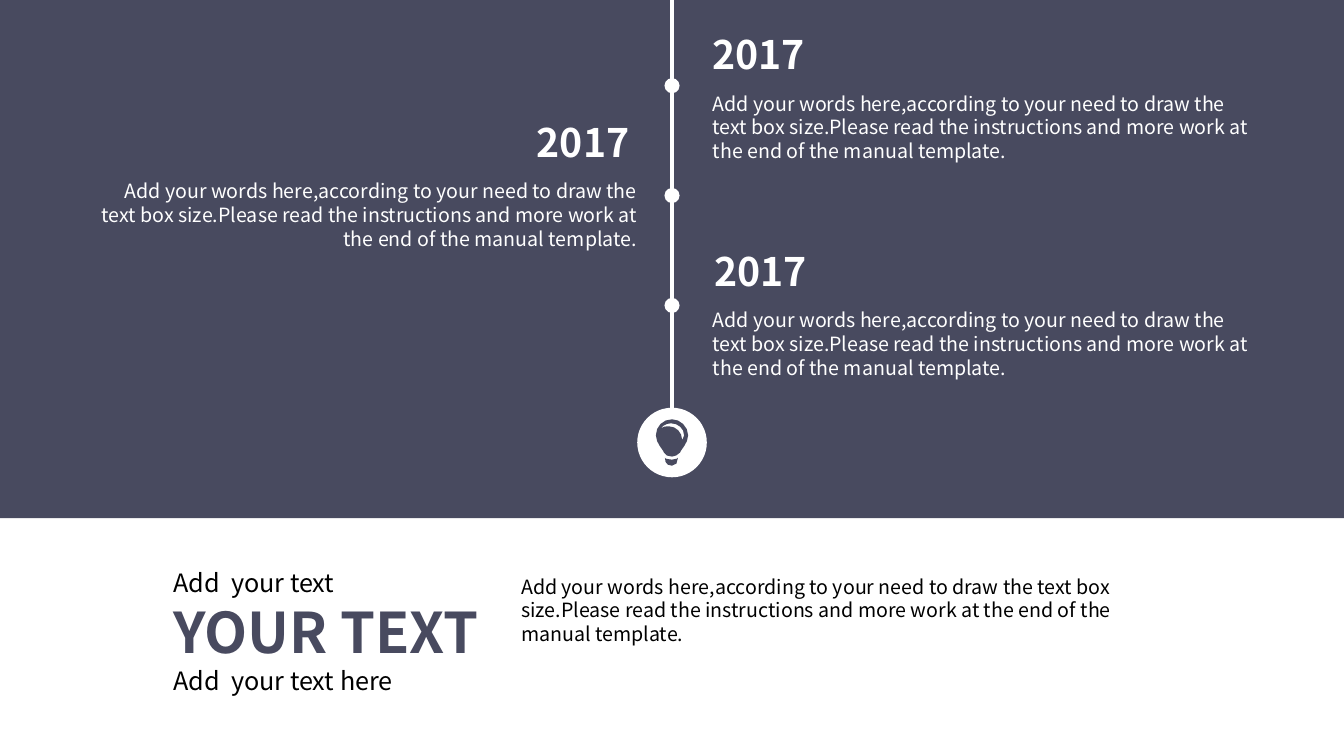
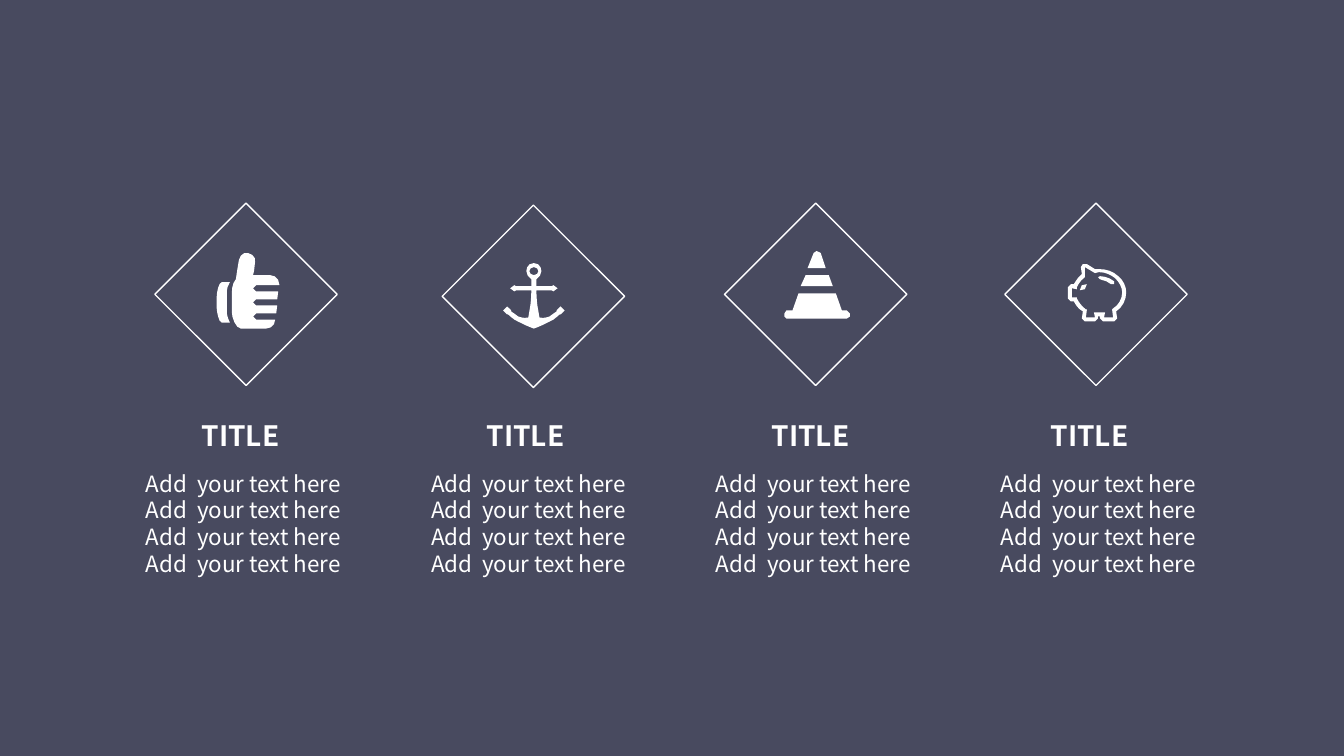
from dataclasses import dataclass
from math import dist

from lxml import etree
from pptx import Presentation
from pptx.dml.color import RGBColor
from pptx.enum.shapes import MSO_CONNECTOR, MSO_SHAPE
from pptx.enum.text import MSO_AUTO_SIZE, PP_ALIGN
from pptx.oxml.ns import qn
from pptx.util import Inches, Pt

RECT, OVAL = MSO_SHAPE.RECTANGLE, MSO_SHAPE.OVAL
LEFT, RIGHT = PP_ALIGN.LEFT, PP_ALIGN.RIGHT
STRAIGHT = MSO_CONNECTOR.STRAIGHT
GROW = MSO_AUTO_SIZE.SHAPE_TO_FIT_TEXT


@dataclass(frozen=True)
class Theme:
    font: str = "Noto Sans CJK SC"
    slate: RGBColor = RGBColor(0x48, 0x4A, 0x5F)
    white: RGBColor = RGBColor(0xFF, 0xFF, 0xFF)
    black: RGBColor = RGBColor(0, 0, 0)
    body: int = 14
    item: int = 16
    lead: int = 18
    title: int = 20
    year: int = 28
    hero: int = 40


T = Theme()
W, H = 13.33, 7.5
BAND = 5.14
AXIS = W / 2
INSET = 0.1
COL_X, COL_PITCH = 1.35, (9.83 - 1.35) / 3

BODY = ("Add your words here,according to your need to draw the text box size."
        "Please read the instructions and more work at the end of the manual template.")
ITEM = "Add  your text here"

# Icons are lists of parts, parts are lists of outlines in hundredths of an inch:
# pairs are corners, sixes are cubic curves
BULB = [
    [[(9, 38), (10, 39), (12, 39, 13, 40, 16, 40), (18, 40, 20, 39, 21, 39), (22, 38),
      (22, 43, 20, 46, 16, 46), (11, 46, 9, 43, 9, 38)]],
    [[(16, 0), (24, 0, 32, 7, 32, 16), (32, 24, 24, 31, 24, 33),
      (24, 34, 23, 35, 20, 36), (19, 36, 18, 37, 16, 37), (15, 37, 13, 37, 11, 36),
      (9, 35, 8, 34, 8, 33), (8, 31, 0, 24, 0, 16), (0, 7, 7, 0, 16, 0)],
     [(13, 7), (20, 7, 26, 13, 26, 20), (26, 21), (27, 20, 28, 18, 28, 16),
      (28, 9, 22, 4, 15, 4), (11, 4, 7, 6, 5, 9), (7, 7, 10, 7, 13, 7)]],
]
THUMB = [
    [[(10, 39), (10, 37, 11, 33, 13, 30), (5, 30), (2, 30, 0, 40, 0, 44), (0, 56),
      (0, 59, 2, 70, 5, 70), (13, 70), (11, 66, 10, 62, 10, 60)]],
    [[(19, 27), (16, 30, 15, 36, 15, 40), (15, 60), (15, 65, 19, 76, 24, 76), (49, 76),
      (54, 76, 58, 72, 58, 67), (39, 67), (37, 67, 36, 65, 36, 64),
      (36, 62, 37, 61, 39, 61), (59, 61), (60, 53), (39, 53), (37, 53, 36, 51, 36, 50),
      (36, 48, 37, 47, 39, 47), (60, 47), (61, 39), (39, 39), (37, 39, 36, 37, 36, 36),
      (36, 34, 37, 33, 39, 33), (62, 33), (62, 32), (62, 27, 58, 23, 53, 23), (36, 23),
      (37, 19), (38, 10), (39, 6, 36, 2, 31, 1), (27, 0, 23, 3, 22, 8), (20, 20)]],
]
# Right half only, measured from the shank
ANCHOR_HALF = [
    [(0, 0), (5, 0, 7.5, 4, 7.5, 8), (7.5, 11, 5.5, 14, 2.5, 16), (2.5, 23), (17.5, 23),
     (18, 22, 19, 22, 19.5, 22), (21.5, 22, 23.5, 23, 23.5, 25),
     (23.5, 26, 21.5, 28, 19.5, 28), (18.5, 28, 17.5, 27, 17.5, 27), (2.5, 27),
     (2.5, 35, 3.5, 42, 3.5, 42), (5.5, 54), (9.5, 55, 12.5, 54, 15.5, 53),
     (18.5, 51, 20.5, 49, 22.5, 48), (22.5, 47), (22.5, 45, 24.5, 43, 26.5, 43),
     (28.5, 43, 30.5, 45, 30.5, 47), (30.5, 50, 28.5, 51, 26.5, 51), (25.5, 51),
     (24, 53, 21.5, 54, 19.5, 56), (16, 58, 11.5, 60, 7.5, 62), (6.5, 62, 1.5, 65, 0, 65)],
    [(0, 4), (2.5, 4, 4.5, 6, 4.5, 8), (4.5, 10, 2.5, 12, 0, 12)],
]
CONE = [
    [[(8, 59), (2, 59), (1, 59, 0, 60, 0, 62), (0, 65), (0, 66, 1, 67, 2, 67), (62, 67),
      (64, 67, 65, 66, 65, 65), (65, 62), (65, 60, 64, 59, 62, 59), (57, 59), (51, 42),
      (14, 42)]],
    [[(36, 2), (36, 2, 35, 0, 32, 0), (29, 0, 29, 2, 29, 2), (23, 17), (41, 17)]],
    [[(21, 24), (16, 35), (48, 35), (44, 24)]],
]
PIG = [
    [[(58, 29), (58, 23, 55, 17, 50, 13), (45, 8, 38, 6, 31, 6), (27, 6), (19, 1),
      (18, 0, 16, 0, 15, 1), (14, 1, 13, 3, 13, 4), (14, 11), (10, 14, 8, 18, 6, 21),
      (3, 21), (1, 21, 0, 22, 0, 24), (0, 35), (0, 37, 1, 38, 3, 38), (6, 38),
      (8, 42, 11, 46, 15, 48), (14, 55), (14, 57, 15, 58, 17, 58), (27, 58),
      (29, 58, 30, 57, 30, 55), (30, 53), (32, 53), (32, 55), (32, 57, 33, 58, 35, 58),
      (46, 58), (48, 58, 49, 57, 49, 55), (48, 48), (54, 44, 58, 37, 58, 29)],
     [(45, 45), (44, 46), (45, 54), (36, 54), (37, 49), (26, 49), (27, 54), (18, 54),
      (19, 46), (18, 46), (14, 43, 11, 39, 9, 35), (9, 34), (4, 34), (4, 25), (9, 26),
      (9, 24), (11, 20, 13, 17, 17, 14), (17, 4), (27, 10), (29, 10, 30, 9, 31, 9),
      (38, 9, 43, 12, 47, 15), (51, 19, 54, 24, 54, 29), (54, 36, 50, 42, 45, 45)]],
    [[(32, 13), (31, 13, 30, 13, 30, 14), (30, 16, 31, 16, 32, 16),
      (33, 17, 39, 17, 43, 21), (44, 21, 45, 21, 46, 21), (46, 20, 46, 19, 46, 18),
      (40, 13, 32, 13, 32, 13)]],
    [[(14, 22), (12, 24, 11, 26, 12, 27), (14, 28, 16, 28, 17, 26),
      (19, 24, 20, 22, 19, 21), (17, 20, 15, 20, 14, 22)]],
]


# Outlines
def trace(steps):
    """Turn corners and cubic curves into points, more on longer curves."""
    pts = []
    for step in steps:
        if len(step) == 2:
            pts.append(step)
            continue
        x0, y0 = pts[-1]
        x1, y1, x2, y2, x3, y3 = step
        n = max(1, min(4, round(dist((x0, y0), (x3, y3)) / 4)))
        for i in range(1, n + 1):
            t = i / n
            u = 1 - t
            a, b, c, d = u ** 3, 3 * u * u * t, 3 * u * t * t, t ** 3
            pts.append((a * x0 + b * x1 + c * x2 + d * x3,
                        a * y0 + b * y1 + c * y2 + d * y3))
    return pts


def trace_parts(icon):
    return [[trace(c) for c in part] for part in icon]


def mirrored(pts, axis):
    """Complete a right half with its reflection."""
    return ([(axis + x, y) for x, y in pts]
            + [(axis - x, y) for x, y in reversed(pts[1:-1])])


# Elements
def paint(shape, fill=None, line=None, width=1):
    shape.shadow.inherit = False
    if fill is None:
        shape.fill.background()
    else:
        shape.fill.solid()
        shape.fill.fore_color.rgb = fill
    if line is None:
        shape.line.fill.background()
    else:
        shape.line.color.rgb = line
        shape.line.width = Pt(width)


def add_box(s, kind, x, y, w, h, turn=0, **look):
    sp = s.shapes.add_shape(kind, Inches(x), Inches(y), Inches(w), Inches(h))
    sp.rotation = turn
    paint(sp, **look)


def add_disc(s, cx, cy, size, color):
    add_box(s, OVAL, cx - size / 2, cy - size / 2, size, size, fill=color)


def add_line(s, x1, y1, x2, y2, color, width):
    ln = s.shapes.add_connector(STRAIGHT, Inches(x1), Inches(y1), Inches(x2), Inches(y2))
    ln.line.color.rgb = color
    ln.line.width = Pt(width)
    etree.SubElement(ln.element.spPr, qn("a:effectLst"))


def add_icon(s, parts, x, y, color):
    for part in parts:
        first, *holes = [[(px * 100, py * 100) for px, py in c] for c in part]
        fb = s.shapes.build_freeform(*first[0], scale=91.44)
        fb.add_line_segments(first[1:], close=True)
        for hole in holes:
            fb.move_to(*hole[0])
            fb.add_line_segments(hole[1:], close=True)
        paint(fb.convert_to_shape(Inches(x), Inches(y)), fill=color)


def write(p, text, size=T.body, color=T.white, bold=False, align=LEFT):
    p.alignment = align
    r = p.add_run()
    r.text = text
    r.font.name = T.font
    r.font.size = Pt(size)
    r.font.bold = bold
    r.font.color.rgb = color


def add_text(s, x, y, w, h, *lines, inset=INSET, **shared):
    """Each line is a text, or a text with its own format."""
    tf = s.shapes.add_textbox(Inches(x), Inches(y), Inches(w), Inches(h)).text_frame
    tf.word_wrap = True
    tf.auto_size = GROW
    tf.margin_left = Inches(inset)
    for i, line in enumerate(lines):
        text, own = (line, {}) if isinstance(line, str) else line
        write(tf.add_paragraph() if i else tf.paragraphs[0], text, **{**shared, **own})


def add_event(s, x, y, year_x, align=LEFT):
    add_text(s, x, y + 0.61, 5.55, 0.81, BODY, align=align)
    add_text(s, year_x, y, 1.36, 0.57, "2017", size=T.year, bold=True, align=align)


# Slides
def timeline_slide(s):
    add_box(s, RECT, 0, 0, W, BAND, fill=T.slate)
    add_line(s, AXIS, 0, AXIS, 4.17, T.white, 3)
    for i in range(3):
        add_disc(s, AXIS, 0.85 + 1.09 * i, 0.15, T.white)
    add_disc(s, AXIS, 4.39, 0.69, T.white)
    add_icon(s, trace_parts(BULB), AXIS - 0.16, 4.16, T.slate)

    add_event(s, 6.97, 0.25, 6.97)
    add_event(s, 6.97, 2.4, 6.99)
    add_event(s, 0.87, 1.12, 4.98, align=RIGHT)

    # Caption under the band
    add_text(s, 5.07, 5.65, 6.65, 0.81, BODY, color=T.black)
    add_text(s, 1.62, 5.58, 3.41, 1.38,
             "Add  your text",
             ("YOUR TEXT", dict(size=T.hero, color=T.slate, bold=True)),
             ITEM, size=T.lead, color=T.black)


def icons_slide(s):
    s.background.fill.solid()
    s.background.fill.fore_color.rgb = T.slate
    anchor = [[mirrored(trace(c), 30.5) for c in ANCHOR_HALF]]
    thumb, cone, pig = map(trace_parts, (THUMB, CONE, PIG))
    # Corner of the turned square, icon and its corner, title inset
    columns = [
        (1.8, 2.28, thumb, 2.15, 2.5, 0.23),
        (4.65, 2.3, anchor, 4.99, 2.61, 0.23),
        (7.45, 2.28, cone, 7.78, 2.49, 0.23),
        (10.23, 2.28, pig, 10.59, 2.61, 0.17),
    ]
    for i, (left, top, icon, icon_x, icon_y, inset) in enumerate(columns):
        x = COL_X + COL_PITCH * i
        add_text(s, x, 4.61, 2.33, 1.18, *[ITEM] * 4, size=T.item)
        add_text(s, x + 0.42, 4.1, 1.47, 0.44, "TITLE",
                 inset=inset, size=T.title, bold=True)
        add_icon(s, icon, icon_x, icon_y, T.white)
        add_box(s, RECT, left, top, 1.28, 1.28, turn=45, line=T.white)


def main():
    prs = Presentation()
    prs.slide_width, prs.slide_height = Inches(W), Inches(H)
    for build in (timeline_slide, icons_slide):
        build(prs.slides.add_slide(prs.slide_layouts[6]))
    prs.save("out.pptx")


if __name__ == "__main__":
    main()
